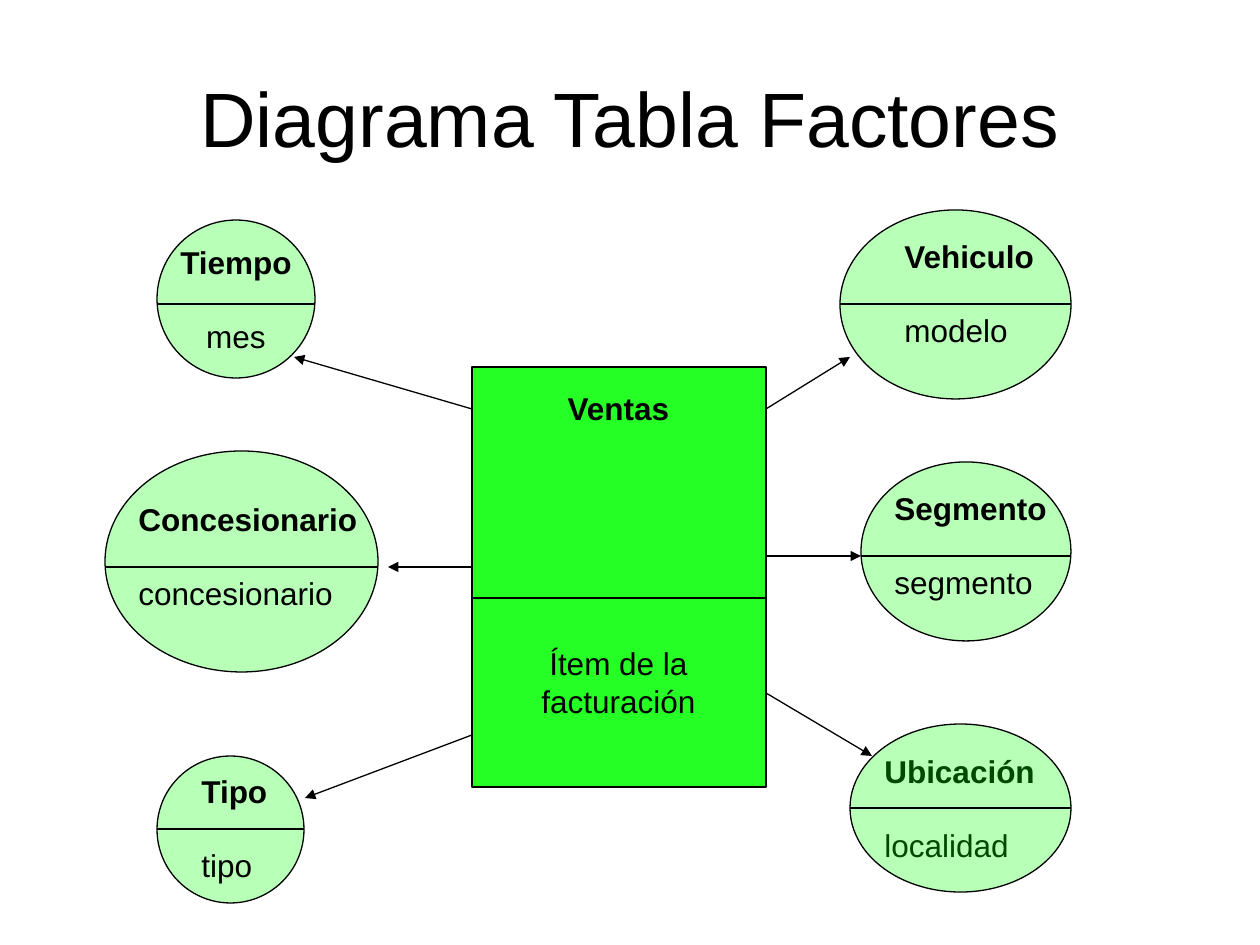
from lxml.etree import SubElement
from pptx import Presentation
from pptx.dml.color import RGBColor
from pptx.enum.shapes import MSO_CONNECTOR as LINE, MSO_SHAPE as SHAPE
from pptx.enum.text import MSO_ANCHOR as ANCHOR, PP_ALIGN as ALIGN
from pptx.oxml.ns import qn
from pptx.util import Emu, Pt

PX = 914400 // 126
COLORS = {"green": "00FF00", "black": "000000"}
FONT = "Arial"
LINE_HEIGHT = 20.7  # points, for 18 pt text

TITLE = "Diagrama Tabla Factores"
# heading, detail, ellipse box, divider y, text box (None: text inside the ellipse)
DIMENSIONS = [
    ("Segmento", "segmento", (861, 462, 210, 179), 556, (882, 483, 178, 126)),
    ("Vehiculo", "modelo", (840, 210, 231, 189), 304, (892, 231, 156, 126)),
    ("Tipo", "tipo", (157, 756, 147, 147), 829, (189, 766, 92, 126)),
    ("Concesionario", "concesionario", (105, 451, 273, 221), 567, (126, 494, 244, 126)),
    ("Tiempo", "mes", (157, 220, 158, 158), 304, None),
    ("Ubicación", "localidad", (850, 724, 221, 168), 808, (872, 746, 176, 126)),
]
FACT = ("Ventas", "Ítem de la facturación", (472, 367, 294, 420), 598, (491, 383, 255, 353))
BEHIND_ELLIPSE = {"Ubicación"}
# y on the side of the fact table, arrow tip
LEFT_ARROWS = [(409, (294, 357)), (567, (388, 567)), (735, (305, 798))]
RIGHT_ARROWS = [(693, (872, 756)), (556, (861, 556)), (409, (850, 357))]


def emu(values):
    return [Emu(v * PX) for v in values]


def rgb(name):
    return RGBColor.from_string(COLORS[name])


def style(font, size, bold=False):
    font.name, font.size, font.bold = FONT, Pt(size), bold
    font.color.rgb = rgb("black")


def add_block(s, kind, box, opacity):
    sp = s.shapes.add_shape(kind, *emu(box))
    sp.shadow.inherit = False
    sp.fill.solid()
    sp.fill.fore_color.rgb = rgb("green")
    color = sp.fill._xPr.find(qn("a:solidFill"))[0]
    SubElement(color, qn("a:alpha"), val=str(opacity * 1000))
    sp.line.color.rgb = rgb("black")
    sp.line.width = Pt(0.75)
    return sp


def add_line(s, start, end, arrow=False):
    c = s.shapes.add_connector(LINE.STRAIGHT, *emu(start + end))
    c.line.color.rgb = rgb("black")
    c.line.width = Pt(0.75)
    if arrow:
        SubElement(c.line._get_or_add_ln(), qn("a:tailEnd"), type="triangle")
    SubElement(c._element.spPr, qn("a:effectLst"))


def write_pair(tf, heading, detail, gap_lines=1, align=ALIGN.LEFT, wrap=False, anchor=ANCHOR.TOP):
    tf.word_wrap = wrap
    tf.vertical_anchor = anchor
    for i, text in enumerate((heading, detail)):
        p = tf.paragraphs[0] if i == 0 else tf.add_paragraph()
        p.alignment = align
        if i:
            p.space_before = Pt(gap_lines * LINE_HEIGHT)
        r = p.add_run()
        r.text = text
        style(r.font, 18, bold=i == 0)


def add_divider(s, box, y):
    add_line(s, (box[0], y), (box[0] + box[2], y))


def add_dimension(s, heading, detail, box, divider, text_box):
    def add_ellipse():
        return add_block(s, SHAPE.OVAL, box, 28)

    def add_label():
        write_pair(s.shapes.add_textbox(*emu(text_box)).text_frame, heading, detail)

    if text_box is None:
        write_pair(add_ellipse().text_frame, heading, detail,
                   align=ALIGN.CENTER, anchor=ANCHOR.MIDDLE)
    elif heading in BEHIND_ELLIPSE:
        add_label()
        add_ellipse()
    else:
        add_ellipse()
        add_label()
    add_divider(s, box, divider)


def add_fact(s, heading, detail, box, divider, text_box):
    add_block(s, SHAPE.RECTANGLE, box, 85)
    tf = s.shapes.add_textbox(*emu(text_box)).text_frame
    write_pair(tf, heading, detail, gap_lines=6, align=ALIGN.CENTER, wrap=True)
    add_divider(s, box, divider)


def main():
    prs = Presentation()
    prs.slide_width, prs.slide_height = emu((1260, 945))
    s = prs.slides.add_slide(prs.slide_layouts[5])

    title = s.shapes.title
    title.left, title.top, title.width, title.height = emu((63, 38, 1134, 158))
    tf = title.text_frame
    tf.text = TITLE
    tf.vertical_anchor = ANCHOR.MIDDLE
    p = tf.paragraphs[0]
    p.alignment = ALIGN.CENTER
    style(p.runs[0].font, 44)

    for dimension in DIMENSIONS:
        add_dimension(s, *dimension)
    add_fact(s, *FACT)

    left, _, width, _ = FACT[2]
    for x, arrows in ((left, LEFT_ARROWS), (left + width, RIGHT_ARROWS)):
        for y, tip in arrows:
            add_line(s, (x, y), tip, arrow=True)

    prs.save("out.pptx")


if __name__ == "__main__":
    main()
